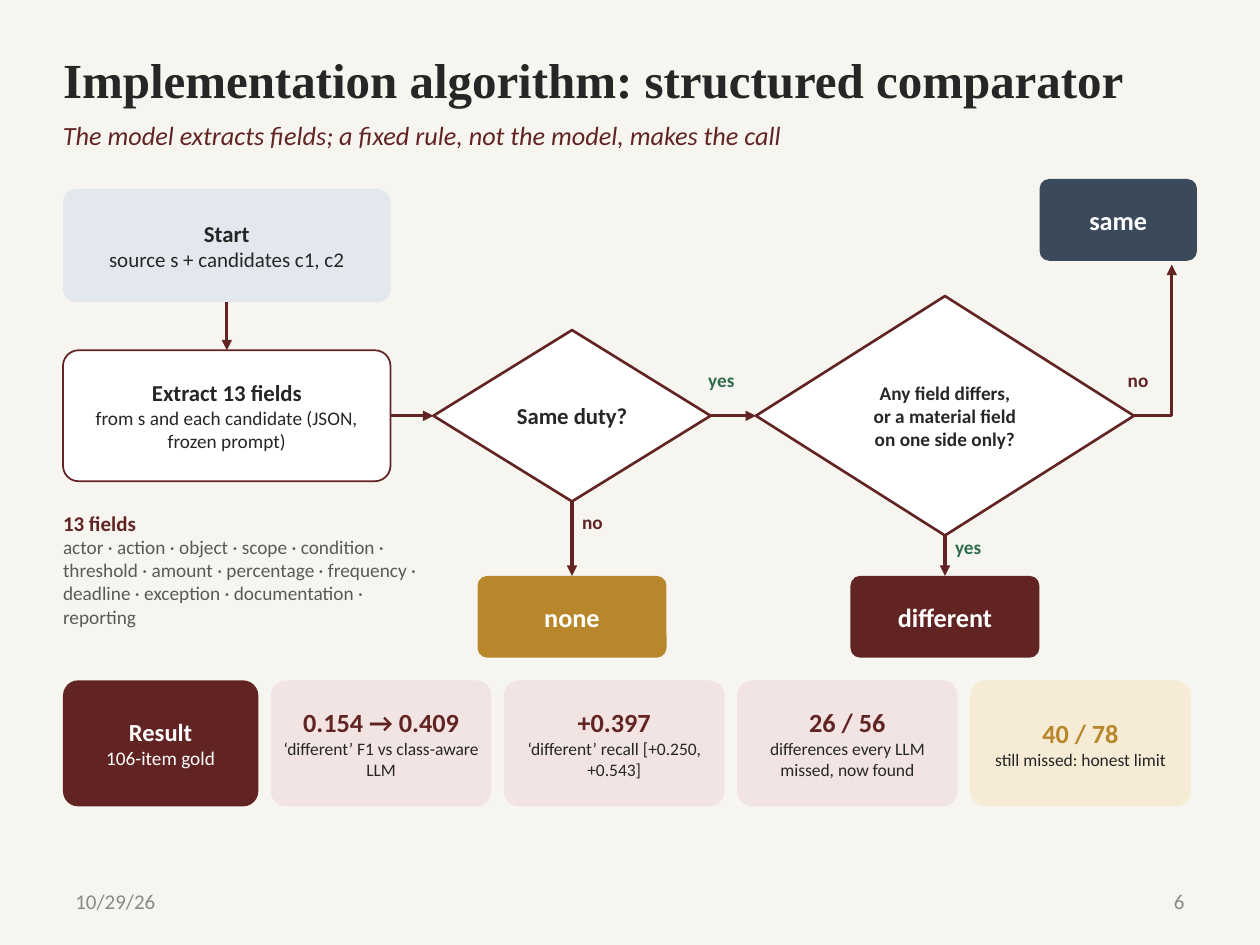
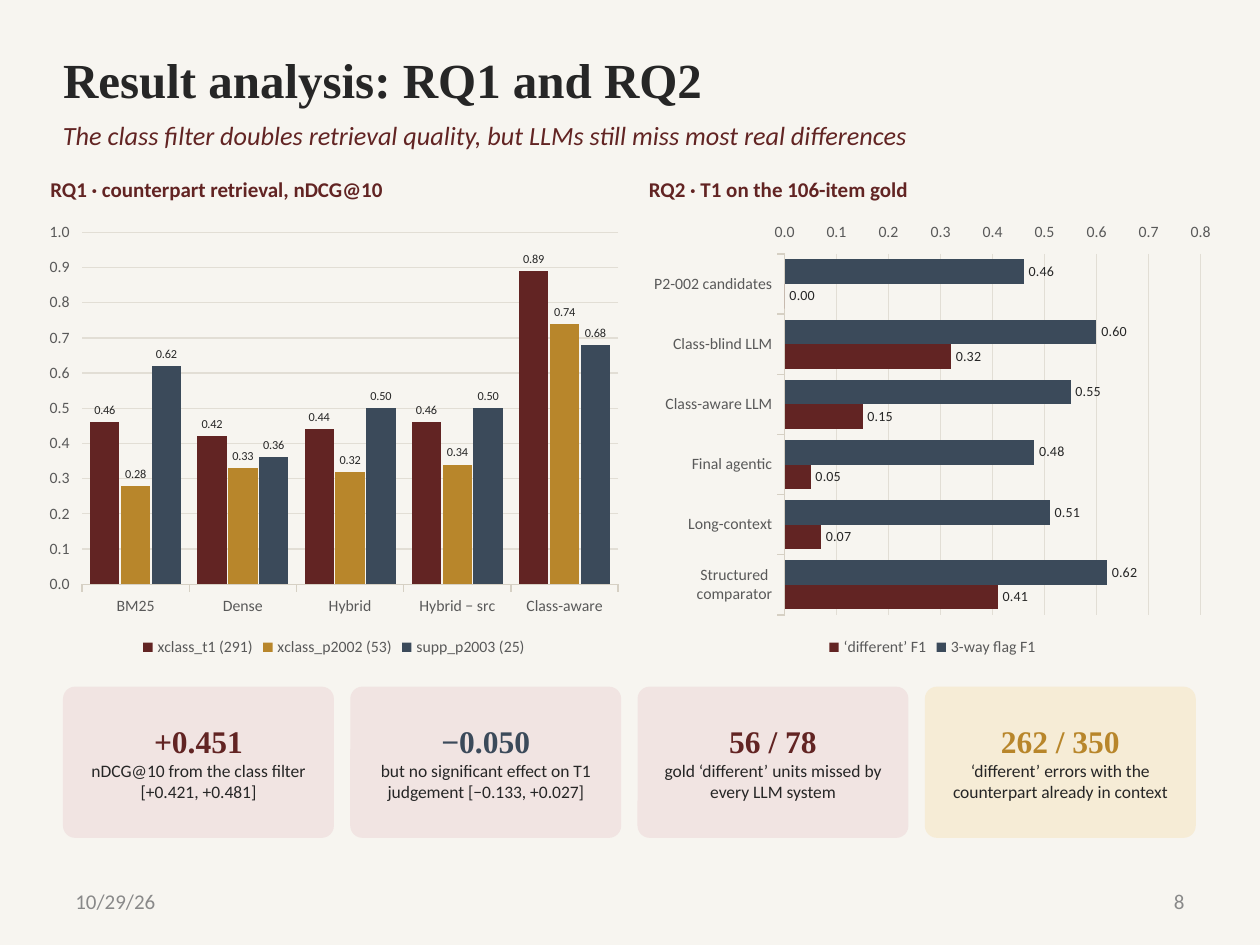
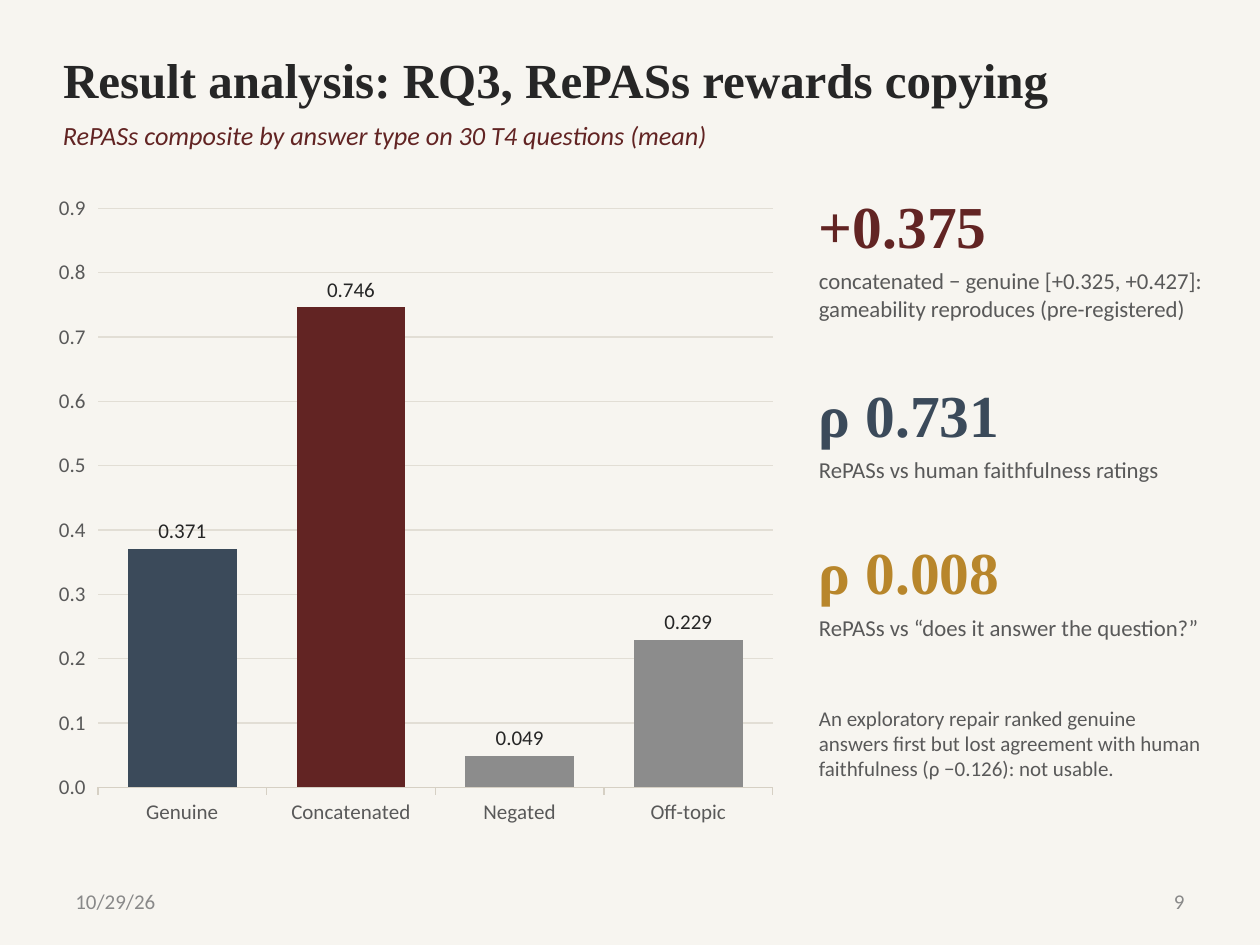
from dataclasses import dataclass

from lxml.etree import SubElement
from pptx import Presentation
from pptx.chart.data import CategoryChartData
from pptx.dml.color import RGBColor
from pptx.enum.chart import XL_CHART_TYPE as ChartType
from pptx.enum.chart import XL_LABEL_POSITION as LabelPosition
from pptx.enum.chart import XL_LEGEND_POSITION as LegendPosition
from pptx.enum.chart import XL_TICK_LABEL_POSITION as TickLabels
from pptx.enum.shapes import MSO_CONNECTOR as Connector
from pptx.enum.shapes import MSO_SHAPE as Shape
from pptx.enum.text import MSO_ANCHOR as Anchor
from pptx.enum.text import MSO_AUTO_SIZE as AutoSize
from pptx.enum.text import PP_ALIGN as Align
from pptx.oxml.ns import qn
from pptx.util import Inches, Pt


@dataclass(frozen=True)
class Theme:
    paper: str = "F7F5F0"
    white: str = "FFFFFF"
    ink: str = "262626"
    body: str = "595959"
    footer: str = "898989"
    maroon: str = "622423"
    gold: str = "B8862B"
    slate: str = "3B4A5A"
    green: str = "2E6B4F"
    gray: str = "8C8C8C"
    mist: str = "E3E8EE"
    rose: str = "F1E4E2"
    cream: str = "F6ECD6"
    axis: str = "D6D0C4"
    grid: str = "E2DED5"
    sans: str = "Calibri"
    serif: str = "Times New Roman"
    title: int = 28
    statistic: int = 34
    card: int = 18
    lead: int = 15
    result: int = 14
    step: int = 13
    text: int = 12
    label: int = 11
    caption: int = 10


theme = Theme()
rgb = RGBColor.from_string


def fill_text(box, lines, align=Align.LEFT, anchor=Anchor.TOP, inset=(0, 0)):
    frame = box.text_frame
    frame.word_wrap = True
    frame.auto_size = AutoSize.NONE
    frame.vertical_anchor = anchor
    frame.margin_left = frame.margin_right = Inches(inset[0])
    frame.margin_top = frame.margin_bottom = Inches(inset[1])
    for index, (text, size, color, *styles) in enumerate(lines):
        para = frame.add_paragraph() if index else frame.paragraphs[0]
        para.alignment = align
        span = para.add_run()
        span.text = text
        span.font.size = Pt(size)
        span.font.color.rgb = rgb(color)
        span.font.bold = "bold" in styles
        span.font.italic = "italic" in styles
        span.font.name = theme.serif if "serif" in styles else theme.sans


def add_panel(page, bounds, fill, lines, kind=Shape.ROUNDED_RECTANGLE, corner=0.12, border=0):
    panel = page.shapes.add_shape(kind, *map(Inches, bounds))
    panel.shadow.inherit = False
    panel.fill.solid()
    panel.fill.fore_color.rgb = rgb(fill)
    if kind == Shape.ROUNDED_RECTANGLE:
        panel.adjustments[0] = corner
    if border:
        panel.line.color.rgb = rgb(theme.maroon)
        panel.line.width = Pt(border)
    else:
        panel.line.fill.background()
    fill_text(panel, lines, Align.CENTER, Anchor.MIDDLE, (0.06, 0.03))
    return panel


deck = Presentation()
deck.slide_width = Inches(10)
deck.slide_height = Inches(7.5)

headings = [
    ("6", "Implementation algorithm: structured comparator",
     "The model extracts fields; a fixed rule, not the model, makes the call"),
    ("8", "Result analysis: RQ1 and RQ2",
     "The class filter doubles retrieval quality, but LLMs still miss most real differences"),
    ("9", "Result analysis: RQ3, RePASs rewards copying",
     "RePASs composite by answer type on 30 T4 questions (mean)"),
]
pages = []
for number, heading, subtitle in headings:
    page = deck.slides.add_slide(deck.slide_layouts[5])
    page.background.fill.solid()
    page.background.fill.fore_color.rgb = rgb(theme.paper)
    title = page.shapes.title
    title.left, title.top, title.width, title.height = map(Inches, (0.5, 0.32, 9, 0.62))
    fill_text(title, [(heading, theme.title, theme.ink, "bold", "serif")],
              anchor=Anchor.MIDDLE, inset=(0, 0.05))
    fill_text(page.shapes.add_textbox(*map(Inches, (0.5, 0.95, 9, 0.42))),
              [(subtitle, theme.lead, theme.maroon, "italic")])
    for left, text, align in [(0.5, "10/29/26", Align.LEFT), (7.17, number, Align.RIGHT)]:
        fill_text(page.shapes.add_textbox(*map(Inches, (left, 6.95, 2.33, 0.4))),
                  [(text, theme.text, theme.footer)], align, Anchor.MIDDLE, (0.1, 0.05))
    pages.append(page)
flow_page, retrieval_page, copying_page = pages

start = add_panel(flow_page, (0.5, 1.5, 2.6, 0.9), theme.mist, [
    ("Start", theme.step, theme.ink, "bold"),
    ("source s + candidates c1, c2", theme.text, theme.ink)])
extract = add_panel(flow_page, (0.5, 2.78, 2.6, 1.04), theme.white, [
    ("Extract 13 fields", theme.step, theme.ink, "bold"),
    ("from s and each candidate (JSON, frozen prompt)", theme.label, theme.ink)], border=1)
duty = add_panel(flow_page, (3.44, 2.62, 2.2, 1.36), theme.white,
                 [("Same duty?", theme.step, theme.ink, "bold")], Shape.DIAMOND, border=1.5)
differs = add_panel(flow_page, (6, 2.35, 3, 1.9), theme.white, [
    (text, theme.label, theme.ink, "bold")
    for text in ("Any field differs,", "or a material field", "on one side only?")
], Shape.DIAMOND, border=1.5)
none, different, same = [
    add_panel(flow_page, bounds, fill, [(text, theme.lead, theme.white, "bold")])
    for text, bounds, fill in [
        ("none", (3.79, 4.57, 1.5, 0.65), theme.gold),
        ("different", (6.75, 4.57, 1.5, 0.65), theme.maroon),
        ("same", (8.25, 1.42, 1.25, 0.65), theme.slate),
    ]
]

top, left, bottom, right = range(4)
corner = (9.3, 3.3)
arrows = [
    ((start, bottom), (extract, top), True),
    ((extract, right), (duty, left), True),
    ((duty, bottom), (none, top), True),
    ((duty, right), (differs, left), True),
    ((differs, bottom), (different, top), True),
    ((differs, right), corner, False),
    (corner, (9.3, 2.1), True),
]
for origin, target, has_head in arrows:
    ends = [end if isinstance(end[0], float) else (0, 0) for end in (origin, target)]
    arrow = flow_page.shapes.add_connector(
        Connector.STRAIGHT, *map(Inches, (*ends[0], *ends[1])))
    if origin != corner:
        arrow.begin_connect(*origin)
    if target in [(extract, top), (duty, left), (none, top), (differs, left), (different, top)]:
        arrow.end_connect(*target)
    arrow.line.color.rgb = rgb(theme.maroon)
    arrow.line.width = Pt(1.75)
    properties = arrow.element.spPr
    if has_head:
        SubElement(properties.find(qn("a:ln")), qn("a:tailEnd"), type="triangle")
    SubElement(properties, qn("a:effectLst"))

for text, x, y, color in [
    ("no", 4.62, 4.05, theme.maroon),
    ("yes", 5.62, 2.92, theme.green),
    ("yes", 7.58, 4.25, theme.green),
    ("no", 8.95, 2.92, theme.maroon),
]:
    fill_text(flow_page.shapes.add_textbox(*map(Inches, (x, y, 0.45, 0.3))),
              [(text, theme.label, color, "bold")])
fill_text(flow_page.shapes.add_textbox(*map(Inches, (0.5, 4.05, 2.85, 1.3))), [
    ("13 fields", theme.text, theme.maroon, "bold"),
    ("actor · action · object · scope · condition · threshold · amount · percentage · "
     "frequency · deadline · exception · documentation · reporting", theme.label, theme.body)])

add_panel(flow_page, (0.5, 5.4, 1.55, 1), theme.maroon, [
    ("Result", theme.result, theme.white, "bold"),
    ("106-item gold", theme.label, theme.white)])
results = [
    ("0.154 → 0.409", "‘different’ F1 vs class-aware LLM", theme.rose, theme.maroon),
    ("+0.397", "‘different’ recall [+0.250, +0.543]", theme.rose, theme.maroon),
    ("26 / 56", "differences every LLM missed, now found", theme.rose, theme.maroon),
    ("40 / 78", "still missed: honest limit", theme.cream, theme.gold),
]
for index, (figure, caption, fill, color) in enumerate(results):
    add_panel(flow_page, (2.15 + 1.85 * index, 5.4, 1.75, 1), fill, [
        (figure, theme.lead, color, "bold"), (caption, theme.caption, theme.ink)])

for text, x in [("RQ1 · counterpart retrieval, nDCG@10", 0.4),
                ("RQ2 · T1 on the 106-item gold", 5.15)]:
    fill_text(retrieval_page.shapes.add_textbox(*map(Inches, (x, 1.4, 4.4, 0.3))),
              [(text, theme.text, theme.maroon, "bold")])
findings = [
    ("+0.451", "nDCG@10 from the class filter [+0.421, +0.481]", theme.rose, theme.maroon),
    ("−0.050", "but no significant effect on T1 judgement [−0.133, +0.027]",
     theme.rose, theme.slate),
    ("56 / 78", "gold ‘different’ units missed by every LLM system", theme.rose, theme.maroon),
    ("262 / 350", "‘different’ errors with the counterpart already in context",
     theme.cream, theme.gold),
]
for index, (figure, caption, fill, color) in enumerate(findings):
    add_panel(retrieval_page, (0.5 + 2.28 * index, 5.45, 2.15, 1.2), fill, [
        (figure, theme.card, color, "bold", "serif"),
        (caption, theme.caption, theme.ink)], corner=0.08)

for figure, caption, y, color in [
    ("+0.375", "concatenated − genuine [+0.325, +0.427]: gameability reproduces "
     "(pre-registered)", 1.5, theme.maroon),
    ("ρ 0.731", "RePASs vs human faithfulness ratings", 3, theme.slate),
    ("ρ 0.008", "RePASs vs “does it answer the question?”", 4.25, theme.gold),
]:
    fill_text(copying_page.shapes.add_textbox(*map(Inches, (6.5, y, 3.1, 0.62))),
              [(figure, theme.statistic, color, "bold", "serif")])
    fill_text(copying_page.shapes.add_textbox(*map(Inches, (6.5, y + 0.62, 3.1, 0.5))),
              [(caption, theme.step, theme.body)])
fill_text(copying_page.shapes.add_textbox(*map(Inches, (6.5, 5.6, 3.1, 1))), [
    ("An exploratory repair ranked genuine answers first but lost agreement with human "
     "faithfulness (ρ −0.126): not usable.", theme.text, theme.body)])

charts = [
    dict(page=retrieval_page, bounds=(0.3, 1.7, 4.7, 3.55), kind=ChartType.COLUMN_CLUSTERED,
         categories=["BM25", "Dense", "Hybrid", "Hybrid − src", "Class-aware"],
         series=[("xclass_t1 (291)", [0.46, 0.42, 0.44, 0.46, 0.89], theme.maroon),
                 ("xclass_p2002 (53)", [0.28, 0.33, 0.32, 0.34, 0.74], theme.gold),
                 ("supp_p2003 (25)", [0.62, 0.36, 0.5, 0.5, 0.68], theme.slate)],
         maximum=1, gap=55, overlap=-5, size=9, label_size=7, digits="0.00"),
    dict(page=retrieval_page, bounds=(5.1, 1.7, 4.6, 3.55), kind=ChartType.BAR_CLUSTERED,
         categories=["P2-002 candidates", "Class-blind LLM", "Class-aware LLM",
                     "Final agentic", "Long-context", "Structured comparator"],
         series=[("3-way flag F1", [0.46, 0.6, 0.55, 0.48, 0.51, 0.62], theme.slate),
                 ("‘different’ F1", [0, 0.32, 0.15, 0.05, 0.07, 0.41], theme.maroon)],
         maximum=0.8, gap=45, overlap=0, size=9, label_size=8, digits="0.00"),
    dict(page=copying_page, bounds=(0.35, 1.45, 5.9, 5.2), kind=ChartType.COLUMN_CLUSTERED,
         categories=["Genuine", "Concatenated", "Negated", "Off-topic"],
         series=[("RePASs composite", [0.371, 0.746, 0.049, 0.229], theme.gray)],
         maximum=0.9, gap=55, overlap=0, size=12, label_size=12, digits="0.000"),
]
for setup in charts:
    chart_data = CategoryChartData(number_format=setup["digits"])
    chart_data.categories = setup["categories"]
    for name, values, color in setup["series"]:
        chart_data.add_series(name, values)
    chart = setup["page"].shapes.add_chart(
        setup["kind"], *map(Inches, setup["bounds"]), chart_data).chart
    chart.has_title = False
    chart.font.name = theme.sans
    chart.font.size = Pt(setup["size"])
    chart.font.color.rgb = rgb(theme.body)
    chart.has_legend = len(setup["series"]) > 1
    if chart.has_legend:
        chart.legend.position = LegendPosition.BOTTOM
        chart.legend.include_in_layout = False
        chart.legend.font.size = Pt(setup["size"])
        chart.legend.font.color.rgb = rgb(theme.body)

    chart.category_axis.format.line.color.rgb = rgb(theme.axis)
    chart.category_axis.format.line.width = Pt(0.75)
    scale = chart.value_axis
    scale.minimum_scale = 0
    scale.maximum_scale = setup["maximum"]
    scale.major_unit = 0.1
    scale.tick_labels.number_format = "0.0"
    scale.tick_labels.number_format_is_linked = False
    scale.format.line.fill.background()
    scale.major_gridlines.format.line.color.rgb = rgb(theme.grid)
    scale.major_gridlines.format.line.width = Pt(0.75)
    if setup["kind"] == ChartType.BAR_CLUSTERED:
        chart.category_axis.reverse_order = True
        scale.tick_label_position = TickLabels.LOW

    plot = chart.plots[0]
    plot.vary_by_categories = False
    plot.gap_width = setup["gap"]
    plot.overlap = setup["overlap"]
    for series, (name, values, color) in zip(plot.series, setup["series"]):
        series.invert_if_negative = False
        series.format.fill.solid()
        series.format.fill.fore_color.rgb = rgb(color)
        labels = series.data_labels
        labels.show_value = True
        labels.position = LabelPosition.OUTSIDE_END
        labels.number_format = setup["digits"]
        labels.number_format_is_linked = False
        labels.font.size = Pt(setup["label_size"])
        labels.font.color.rgb = rgb(theme.ink)
        if setup["page"] is copying_page:
            for index, highlight in enumerate([theme.slate, theme.maroon]):
                point_fill = series.points[index].format.fill
                point_fill.solid()
                point_fill.fore_color.rgb = rgb(highlight)

deck.save("out.pptx")
